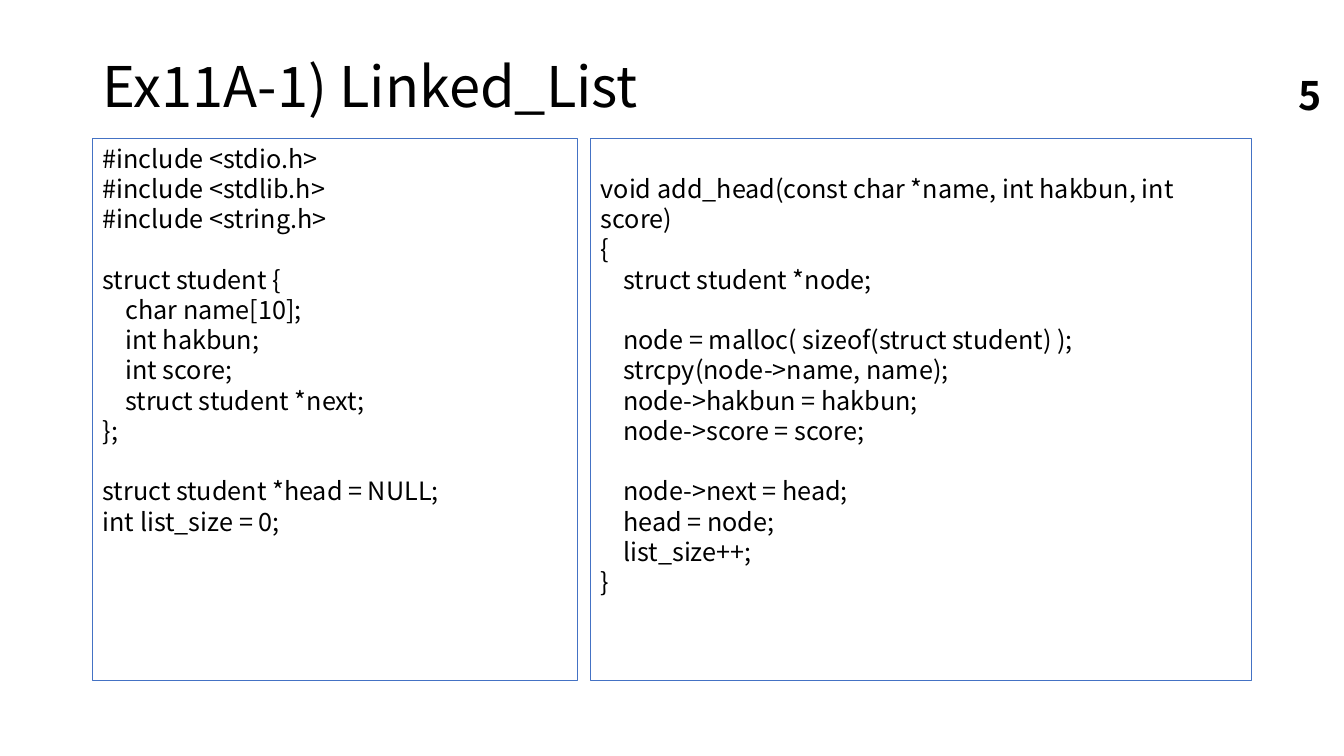
from dataclasses import dataclass

import pptx
import pptx.dml.color
import pptx.enum.shapes
import pptx.enum.text
import pptx.slide
import pptx.text.text
import pptx.util

Inches = pptx.util.Inches
Align = pptx.enum.text.PP_ALIGN
Anchor = pptx.enum.text.MSO_ANCHOR

FONT = "Noto Sans CJK KR"
TEXT_COLOR = "000000"
BORDER_COLOR = "4472C4"
PANEL_TOP, PANEL_HEIGHT = 1.37, 5.38

STRUCT_CODE = """\
#include <stdio.h>
#include <stdlib.h>
#include <string.h>

struct student {
    char name[10];
    int hakbun;
    int score;
    struct student *next;
};

struct student *head = NULL;
int list_size = 0;"""

ADD_HEAD_CODE = """
void add_head(const char *name, int hakbun, int score)
{
    struct student *node;

    node = malloc( sizeof(struct student) );
    strcpy(node->name, name);
    node->hakbun = hakbun;
    node->score = score;

    node->next = head;
    head = node;
    list_size++;
}"""


@dataclass(frozen=True)
class CodePanel:
    left: float
    width: float
    code: str


@dataclass(frozen=True)
class Label:
    left: float
    top: float
    width: float
    height: float
    text: str
    size: int
    spacing: float = 1.0
    bold: bool = False
    align: Align = Align.LEFT


PANELS = [
    CodePanel(0.92, 4.81, STRUCT_CODE),
    CodePanel(5.86, 6.55, ADD_HEAD_CODE),
]
LABELS = [
    Label(0.92, 0.4, 11.5, 0.97, "Ex11A-1) Linked_List", 40, spacing=0.9),
    Label(9.97, 0.74, 3.24, 0.4, "5", 28, bold=True, align=Align.RIGHT),
]


def color(value: str) -> pptx.dml.color.RGBColor:
    return pptx.dml.color.RGBColor.from_string(value)


def write_text(frame: pptx.text.text.TextFrame, text: str, size: int,
               anchor: Anchor, spacing: float = 1.0,
               align: Align = Align.LEFT, bold: bool = False) -> None:
    frame.word_wrap = True
    frame.vertical_anchor = anchor
    frame.text = text
    for paragraph in frame.paragraphs:
        paragraph.alignment = align
        paragraph.line_spacing = spacing
        for font in [paragraph.font, *(run.font for run in paragraph.runs)]:
            font.name = FONT
            font.size = pptx.util.Pt(size)
            font.bold = bold
            font.color.rgb = color(TEXT_COLOR)


def add_label(slide: pptx.slide.Slide, label: Label) -> None:
    shape = slide.shapes.add_textbox(
        Inches(label.left), Inches(label.top),
        Inches(label.width), Inches(label.height))
    write_text(shape.text_frame, label.text, label.size, Anchor.MIDDLE,
               label.spacing, label.align, label.bold)


def add_code_panel(slide: pptx.slide.Slide, panel: CodePanel) -> None:
    shape = slide.shapes.add_shape(
        pptx.enum.shapes.MSO_SHAPE.RECTANGLE,
        Inches(panel.left), Inches(PANEL_TOP),
        Inches(panel.width), Inches(PANEL_HEIGHT))
    shape.shadow.inherit = False
    shape.fill.background()
    shape.line.color.rgb = color(BORDER_COLOR)
    shape.line.width = pptx.util.Pt(0.75)
    write_text(shape.text_frame, panel.code, 18, Anchor.TOP)


def main() -> None:
    presentation = pptx.Presentation()
    presentation.slide_width = Inches(13.33)
    presentation.slide_height = Inches(7.5)
    slide = presentation.slides.add_slide(presentation.slide_layouts[6])
    for panel in PANELS:
        add_code_panel(slide, panel)
    for label in LABELS:
        add_label(slide, label)
    presentation.save("out.pptx")


if __name__ == "__main__":
    main()
